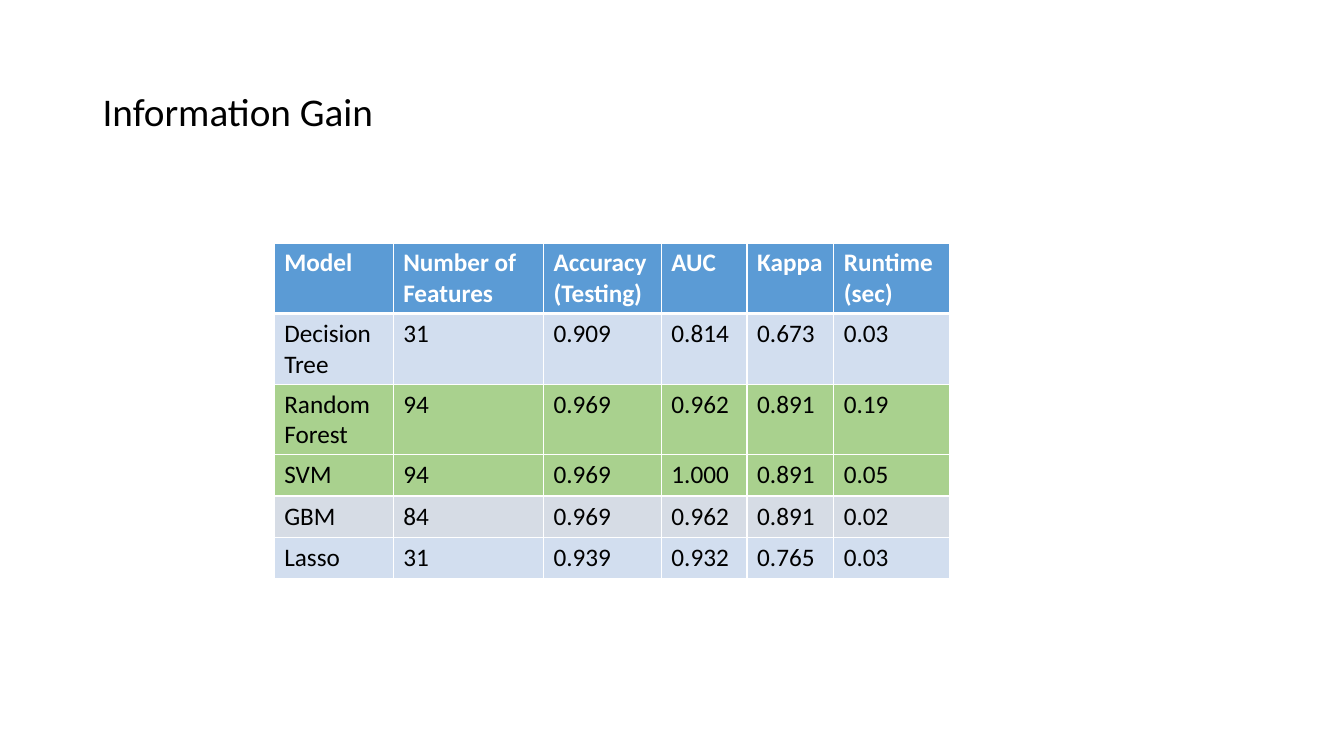
from lxml import etree
from pptx import Presentation
from pptx import util as u
from pptx.dml import color
from pptx.enum import text
from pptx.oxml import ns

HUES = {
    "ink": "000000",
    "white": "FFFFFF",
    "head": "5B9BD5",
    "blue": "D2DEEF",
    "green": "A9D18E",
    "gray": "D6DCE5",
}
FONT = "Calibri"
WIDTHS = [1.18, 1.49, 1.17, 0.85, 0.86, 1.15]
ROW = 0.41

# Fill name, then the cell texts of each row
ROWS = [
    ("head", ["Model", "Number of Features", "Accuracy (Testing)", "AUC", "Kappa", "Runtime (sec)"]),
    ("blue", ["Decision Tree", "31", "0.909", "0.814", "0.673", "0.03"]),
    ("green", ["Random Forest", "94", "0.969", "0.962", "0.891", "0.19"]),
    ("green", ["SVM", "94", "0.969", "1.000", "0.891", "0.05"]),
    ("gray", ["GBM", "84", "0.969", "0.962", "0.891", "0.02"]),
    ("blue", ["Lasso", "31", "0.939", "0.932", "0.765", "0.03"]),
]


def rgb(name):
    return color.RGBColor.from_string(HUES[name])


def style(font, hue, **form):
    for key, val in {"name": FONT, **form}.items():
        setattr(font, key, val)
    font.color.rgb = rgb(hue)


def edge(cell, side, width):
    """Draw one white cell border; width is in points."""
    line = etree.SubElement(cell._tc.get_or_add_tcPr(), ns.qn("a:ln" + side), w=str(u.Pt(width)))
    fill = etree.SubElement(line, ns.qn("a:solidFill"))
    etree.SubElement(fill, ns.qn("a:srgbClr"), val=HUES["white"])


def add_title(slide, words):
    box = slide.shapes.add_textbox(u.Inches(0.92), u.Inches(0.4), u.Inches(11.5), u.Inches(1.45))
    frame = box.text_frame
    for key, val in {"word_wrap": True, "vertical_anchor": text.MSO_ANCHOR.MIDDLE}.items():
        setattr(frame, key, val)
    para = frame.paragraphs[0]
    para.text = words
    para.line_spacing = 0.9
    style(para.font, "ink", size=u.Pt(28))


def fill_cell(cell, words, fill, row):
    # Borders go before the fill; a thick rule parts header and body
    widths = {"L": 1, "R": 1, "T": 3 if row == 1 else 1, "B": 3 if row == 0 else 1}
    for side, width in widths.items():
        edge(cell, side, width)
    cell.fill.solid()
    cell.fill.fore_color.rgb = rgb(fill)
    para = cell.text_frame.paragraphs[0]
    para.text = words
    head = row == 0
    style(para.font, "white" if head else "ink", size=u.Pt(18), bold=head)


def add_grid(slide):
    frame = slide.shapes.add_table(
        len(ROWS), len(WIDTHS), u.Inches(2.72), u.Inches(2.41),
        u.Inches(sum(WIDTHS)), u.Inches(ROW * len(ROWS)))
    grid = frame.table
    for col, width in zip(grid.columns, WIDTHS):
        col.width = u.Inches(width)
    for r, (fill, words) in enumerate(ROWS):
        grid.rows[r].height = u.Inches(ROW)
        for c, word in enumerate(words):
            fill_cell(grid.cell(r, c), word, fill, r)


def main():
    deck = Presentation()
    deck.slide_width = u.Inches(13.33)
    deck.slide_height = u.Inches(7.5)
    slide = deck.slides.add_slide(deck.slide_layouts[6])
    add_title(slide, "Information Gain")
    add_grid(slide)
    deck.save("out.pptx")


if __name__ == "__main__":
    main()
